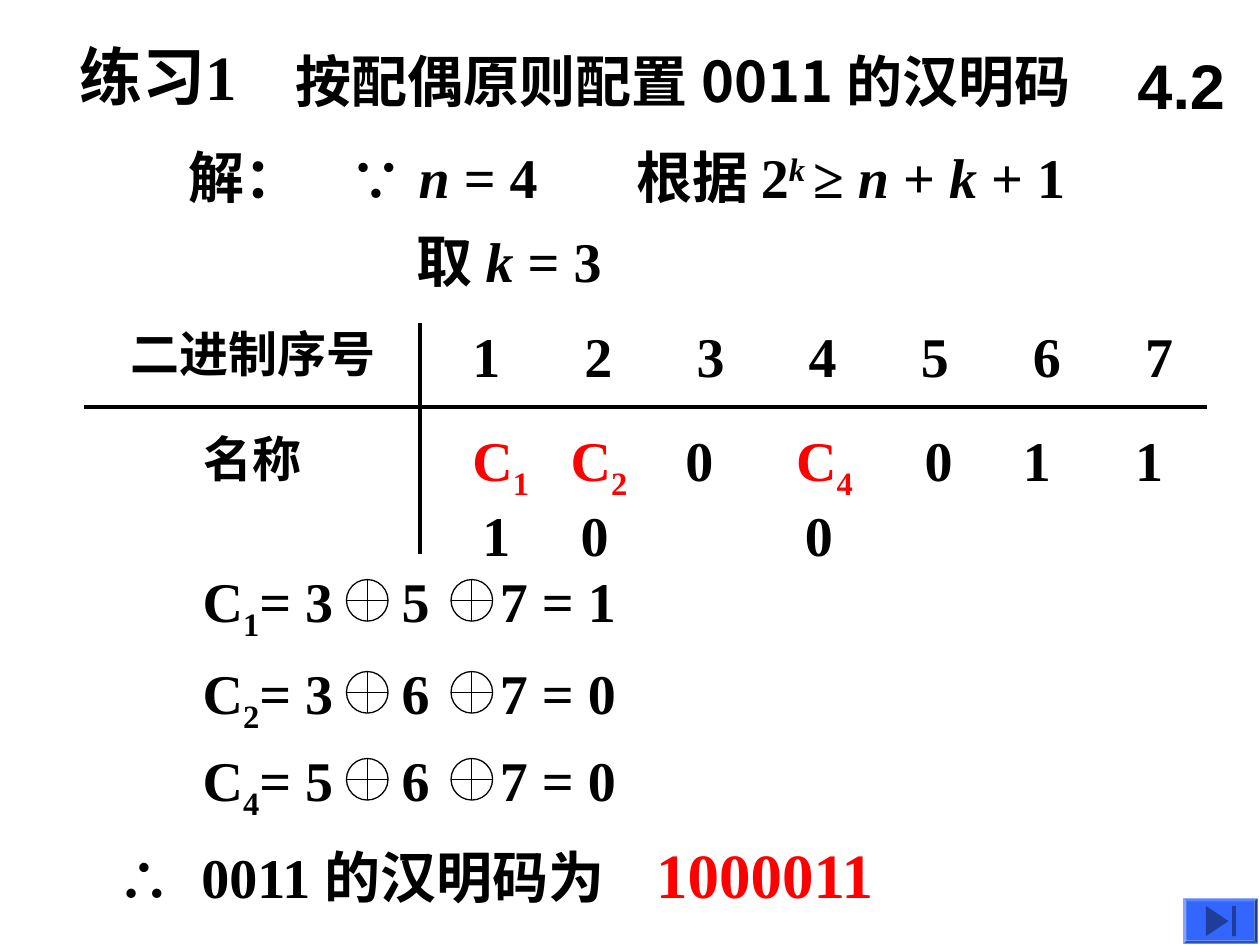
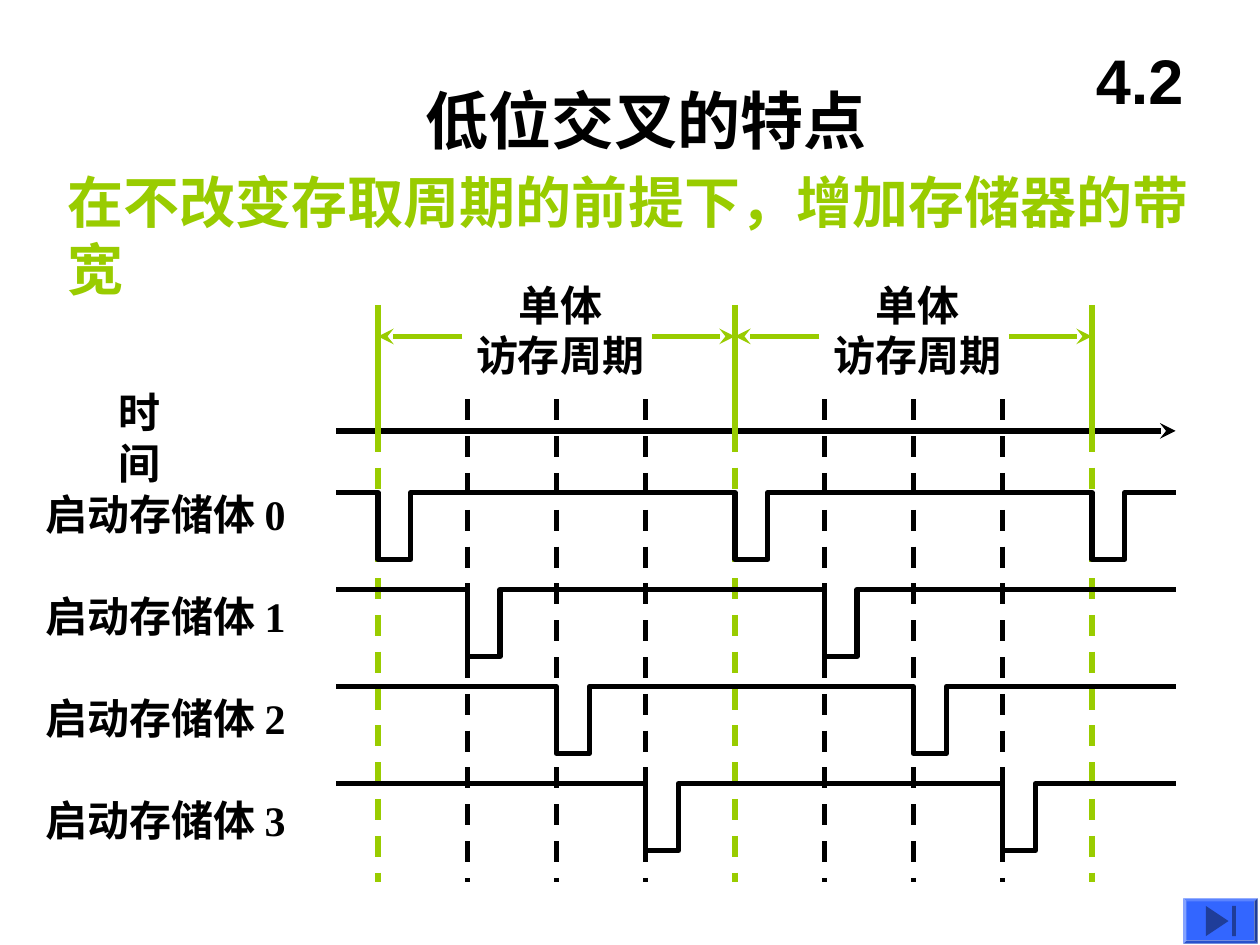
from lxml.etree import SubElement
from pptx import Presentation
from pptx.dml.color import RGBColor
from pptx.enum.dml import MSO_LINE
from pptx.enum.shapes import MSO_CONNECTOR, MSO_SHAPE
from pptx.enum.text import MSO_ANCHOR, MSO_AUTO_SIZE, PP_ALIGN
from pptx.oxml.ns import qn
from pptx.util import Inches, Pt

COLORS = {"ink": "000000", "result": "FF0000", "cycle": "99CC00",
          "button": "3366FF", "icon": "1F3D99"}
SERIF, SANS, CHINESE = "Times New Roman", "Arial", "Noto Sans CJK SC"
BASELINES = {"sub": "-25000", "sup": "30000"}

DIGIT_PITCH = 0.89
CYCLE_START, SLOT_WIDTH, SLOTS_PER_CYCLE, LAST_SLOT = 3, 17 / 24, 4, 8
AXIS_LEFT, AXIS_RIGHT, AXIS_TOP = 2.67, 9.33, 3.42
WAVE_TOP, WAVE_PITCH, PULSE_DEPTH, PULSE_WIDTH = 3.91, 0.77, 0.53, 0.26
BANKS = 4


def rgb(name):
    """Return the named colour."""
    return RGBColor.from_string(COLORS[name])


def slot(index):
    """Return the x position where a time slot begins."""
    return CYCLE_START + index * SLOT_WIDTH


def style_run(run, styles):
    """Apply italics, a raised or lowered baseline, or the result style."""
    for style in styles.split():
        if style == "italic":
            run.font.italic = True
        elif style == "result":
            run.font.size = Pt(36)
            run.font.color.rgb = rgb("result")
        else:
            run._r.get_or_add_rPr().set("baseline", BASELINES[style])


def set_tabs(paragraph, tabs):
    """Give a paragraph left tab stops, in inches."""
    tab_list = SubElement(paragraph._p.get_or_add_pPr(), qn("a:tabLst"))
    for position in tabs:
        SubElement(tab_list, qn("a:tab"), pos=str(Inches(position)), algn="l")


def add_text(slide, box, *paragraphs, size=32, color="ink", font=SERIF,
             wrap=False, tabs=(), align=PP_ALIGN.LEFT):
    """Add bold text; each paragraph is a string or a list of (text, styles)."""
    shape = slide.shapes.add_textbox(*map(Inches, box))
    frame = shape.text_frame
    frame.word_wrap = wrap or bool(tabs)
    frame.auto_size = MSO_AUTO_SIZE.SHAPE_TO_FIT_TEXT
    for index, runs in enumerate(paragraphs):
        paragraph = frame.add_paragraph() if index else frame.paragraphs[0]
        paragraph.alignment = align
        if tabs:
            set_tabs(paragraph, tabs)
        paragraph.font.size = Pt(size)
        paragraph.font.bold = True
        paragraph.font.color.rgb = rgb(color)
        paragraph.font.name = font
        SubElement(paragraph.font._element, qn("a:ea"), typeface=CHINESE)
        for text, styles in [(runs, "")] if isinstance(runs, str) else runs:
            run = paragraph.add_run()
            run.text = text
            style_run(run, styles)
    return frame


def add_line(slide, start, end, color="ink", width=3, dashed=False, arrow=False):
    """Add a straight line, dashed or with an arrowhead at its end."""
    line = slide.shapes.add_connector(
        MSO_CONNECTOR.STRAIGHT, *map(Inches, (*start, *end)))
    line.line.color.rgb = rgb(color)
    line.line.width = Pt(width)
    if dashed:
        line.line.dash_style = MSO_LINE.DASH
    if arrow:
        SubElement(line.line._get_or_add_ln(), qn("a:tailEnd"), type="stealth")
    SubElement(line._element.spPr, qn("a:effectLst"))


def add_filled(slide, preset, box, color):
    """Add a preset shape with a plain fill and no outline."""
    shape = slide.shapes.add_shape(preset, *map(Inches, box))
    shape.shadow.inherit = False
    shape.fill.solid()
    shape.fill.fore_color.rgb = rgb(color)
    shape.line.fill.background()
    return shape


def add_end_button(slide):
    """Add the bevelled button in the bottom right corner."""
    button = add_filled(slide, MSO_SHAPE.BEVEL, (9.39, 7.13, 0.59, 0.36), "button")
    button.adjustments[0] = 0.07
    triangle = add_filled(
        slide, MSO_SHAPE.ISOSCELES_TRIANGLE, (9.54, 7.22, 0.24, 0.18), "icon")
    triangle.rotation = 90
    add_filled(slide, MSO_SHAPE.RECTANGLE, (9.78, 7.19, 0.03, 0.24), "icon")


def add_section_number(slide, left, top):
    """Add the section number."""
    frame = add_text(slide, (left, top, 1.25, 0.92), "4.2", size=36, font=SANS,
                     wrap=True, align=PP_ALIGN.CENTER)
    frame.auto_size = MSO_AUTO_SIZE.NONE
    frame.vertical_anchor = MSO_ANCHOR.MIDDLE


def add_parity_equation(slide, top, index, first, second, result):
    """Add one check bit equation with its two exclusive-or signs."""
    add_text(slide, (1.51, top, 3.49, 0.71),
             [("C", ""), (index, "sub"), (f"= {first}\t{second}\t7 = {result}", "")],
             tabs=(1.58, 2.36))
    for left in (2.75, 3.58):
        sign = slide.shapes.add_shape(
            MSO_SHAPE.FLOWCHART_OR, *map(Inches, (left, top + 0.15, 0.33, 0.33)))
        sign.shadow.inherit = False
        sign.fill.background()
        sign.line.color.rgb = rgb("ink")
        sign.line.width = Pt(0.75)


def add_code_table(slide):
    """Add the ruled listing of bit numbers and bit names."""
    add_line(slide, (0.67, 3.23), (9.58, 3.23), width=2.25)
    add_line(slide, (3.33, 2.56), (3.33, 4.4), width=2.25)
    add_text(slide, (0.94, 2.52, 2.14, 0.57), "二进制序号", size=28)
    add_text(slide, (1.52, 3.35, 0.98, 0.57), "名称", size=28)
    add_text(slide, (3.65, 2.5, 5.76, 0.64), "\t".join("1234567"),
             tabs=[DIGIT_PITCH * step for step in range(1, 7)])
    add_text(slide, (3.65, 3.33, 3.52, 0.71),
             [("C", ""), ("1", "sub"), ("\tC", ""), ("2", "sub"),
              ("\tC", ""), ("4", "sub")], color="result", tabs=(0.78, 2.57))
    add_text(slide, (3.73, 3.92, 3.35, 0.64), "1\t0\t0", tabs=(0.78, 2.56))
    add_text(slide, (5.34, 3.33, 0.42, 0.64), "0")
    add_text(slide, (7.24, 3.33, 2.09, 0.64), "0\t1\t1", tabs=(0.78, 1.67))


def add_wave(slide, bank):
    """Add the start signal of one memory bank, low once in each cycle."""
    high = WAVE_TOP + bank * WAVE_PITCH
    low = high + PULSE_DEPTH
    points = []
    for index in range(bank, LAST_SLOT + 1, SLOTS_PER_CYCLE):
        fall, rise = slot(index), slot(index) + PULSE_WIDTH
        points += [(fall, high), (fall, low), (rise, low), (rise, high)]
    points.append((AXIS_RIGHT, high))
    builder = slide.shapes.build_freeform(Inches(AXIS_LEFT), Inches(high))
    builder.add_line_segments([(Inches(x), Inches(y)) for x, y in points], close=False)
    wave = builder.convert_to_shape()
    wave.shadow.inherit = False
    wave.fill.background()
    wave.line.color.rgb = rgb("ink")
    wave.line.width = Pt(3)


def add_cycle(slide, first_slot):
    """Add the label of one access cycle with an arrow to either end."""
    start, end = slot(first_slot), slot(first_slot + SLOTS_PER_CYCLE)
    add_text(slide, (start + 0.68, 2.17, 1.53, 0.9), "单体", "访存周期",
             size=24, align=PP_ALIGN.CENTER)
    add_line(slide, (start + 0.67, 2.67), (start, 2.67), "cycle", arrow=True)
    add_line(slide, (end - 0.66, 2.67), (end, 2.67), "cycle", arrow=True)


def build_hamming_slide(slide):
    """Build the Hamming code exercise."""
    add_text(slide, (2.25, 0.32, 6.85, 0.64), "按配偶原则配置 0011 的汉明码",
             font=CHINESE, wrap=True)
    add_code_table(slide)
    add_text(slide, (1.4, 1.08, 1.09, 0.64), "解：")
    add_text(slide, (2.67, 1.08, 6.74, 0.64),
             [("∵ ", ""), ("n", "italic"), (" = 4\t根据 2", ""),
              ("k ", "italic sup"), ("≥ ", ""), ("n", "italic"), (" + ", ""),
              ("k", "italic"), (" + 1", "")], tabs=(2.28,))
    add_text(slide, (3.21, 1.75, 3.05, 0.64),
             [("取 ", ""), ("k", "italic"), (" = 3", "")], wrap=True)
    for equation in ((4.45, "1", 3, 5, 1), (5.18, "2", 3, 6, 0), (5.87, "4", 5, 6, 0)):
        add_parity_equation(slide, *equation)
    add_text(slide, (0.83, 6.58, 7.55, 0.7),
             [("∴\t0011 的汉明码为\t", ""), ("1000011", "result")], tabs=(0.67, 4.28))
    add_text(slide, (0.53, 0.25, 1.57, 0.7), "练习1", size=36)
    add_section_number(slide, 8.75, 0.21)
    add_end_button(slide)


def build_interleaving_slide(slide):
    """Build the timing diagram of low-order interleaving."""
    cycle_edges = range(0, LAST_SLOT + 1, SLOTS_PER_CYCLE)
    for index in range(LAST_SLOT + 1):
        top, color = (AXIS_TOP, "cycle") if index in cycle_edges else (3.17, "ink")
        add_line(slide, (slot(index), top), (slot(index), 7), color, dashed=True)
    add_text(slide, (3.28, 0.6, 3.7, 0.7), "低位交叉的特点", size=36)
    add_text(slide, (0.44, 1.28, 9.54, 0.64),
             "在不改变存取周期的前提下，增加存储器的带宽", color="cycle")
    add_text(slide, (0.84, 3.02, 0.86, 0.5), "时间", size=24)
    add_line(slide, (AXIS_LEFT, AXIS_TOP), (AXIS_RIGHT, AXIS_TOP), arrow=True)
    for bank in range(BANKS):
        add_wave(slide, bank)
        add_text(slide, (0.26, 3.83 + bank * 0.81, 2.19, 0.5),
                 f"启动存储体 {bank}", size=24)
    for first_slot in cycle_edges[:-1]:
        add_cycle(slide, first_slot)
    for index in cycle_edges:
        add_line(slide, (slot(index), 2.42), (slot(index), 3.5), "cycle")
    add_end_button(slide)
    add_section_number(slide, 8.42, 0.17)


def main():
    """Build and save the presentation."""
    presentation = Presentation()
    presentation.slide_width, presentation.slide_height = Inches(10), Inches(7.5)
    for build in (build_hamming_slide, build_interleaving_slide):
        build(presentation.slides.add_slide(presentation.slide_layouts[6]))
    presentation.save("out.pptx")


if __name__ == "__main__":
    main()
